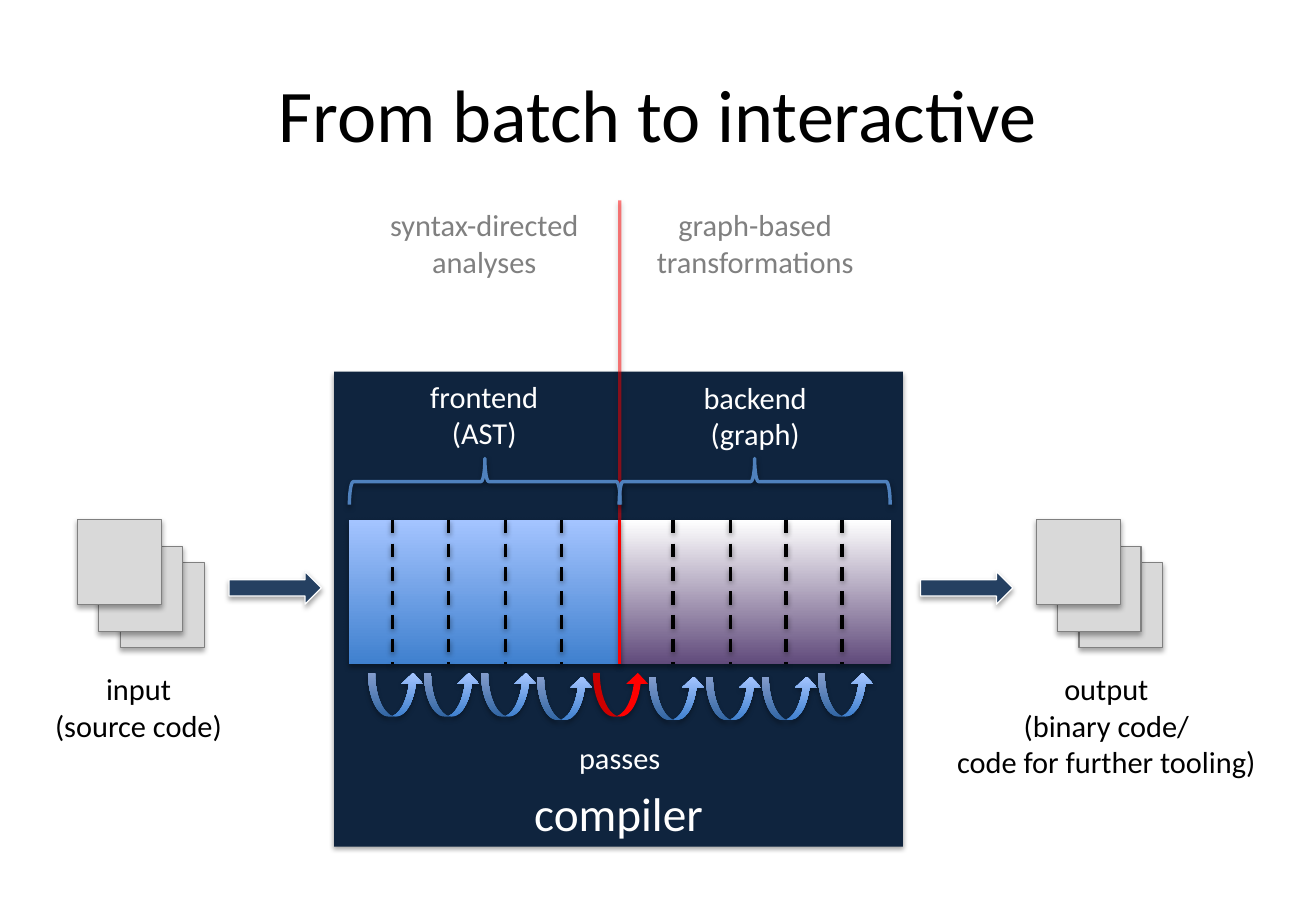
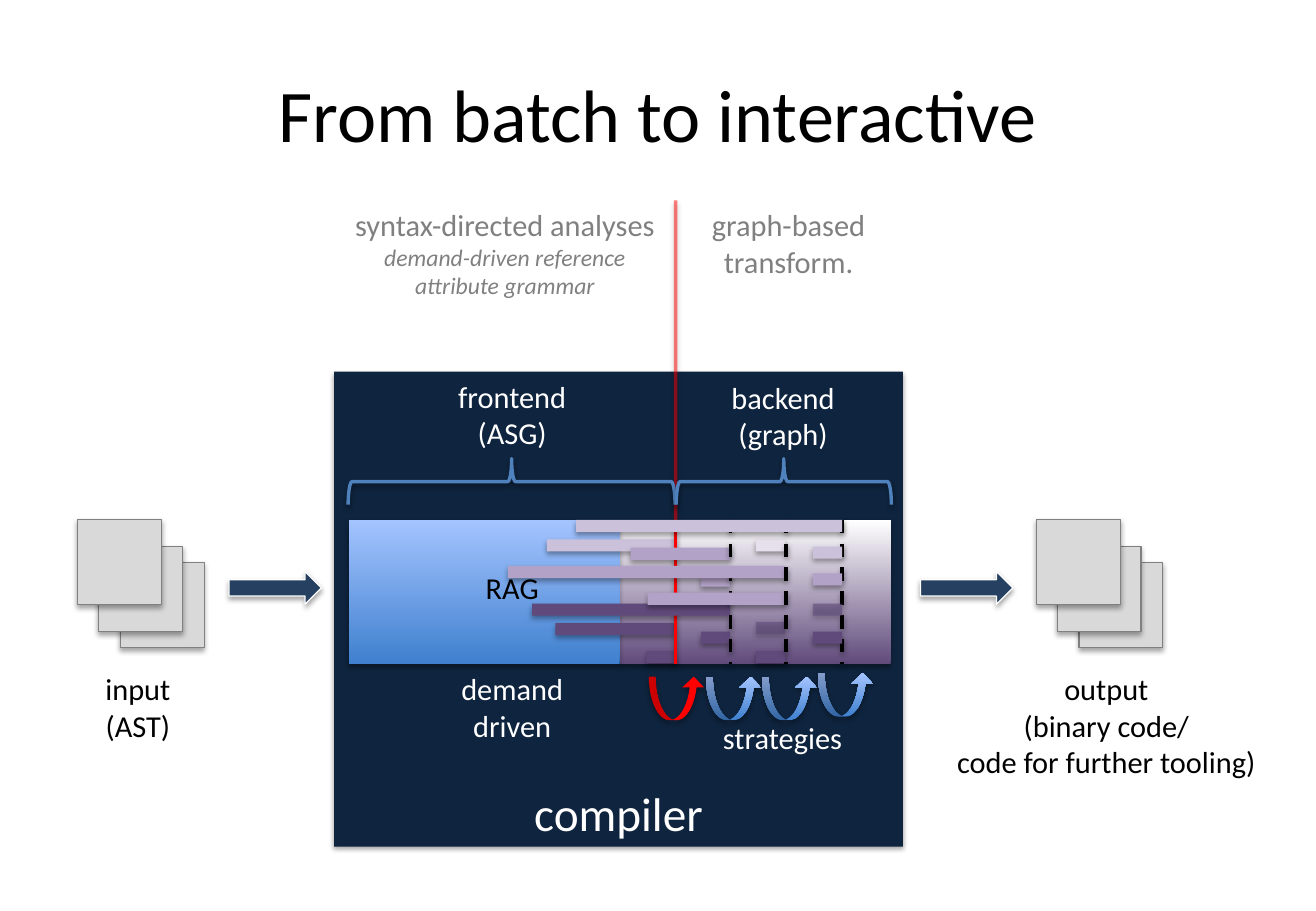
from dataclasses import dataclass

from lxml import etree
from pptx import Presentation
from pptx.dml.color import RGBColor
from pptx.enum.dml import MSO_LINE
from pptx.enum.shapes import MSO_CONNECTOR, MSO_SHAPE
from pptx.enum.text import MSO_ANCHOR, MSO_AUTO_SIZE, PP_ALIGN
from pptx.oxml.ns import qn
from pptx.util import Emu, Pt

RECTANGLE = MSO_SHAPE.RECTANGLE
UP_ARROW = MSO_SHAPE.UP_ARROW
CURVED_ARROW = MSO_SHAPE.CURVED_UP_ARROW
LEFT_BRACE = MSO_SHAPE.LEFT_BRACE
STRAIGHT = MSO_CONNECTOR.STRAIGHT
DASH = MSO_LINE.DASH
CENTER = PP_ALIGN.CENTER
MIDDLE, BOTTOM = MSO_ANCHOR.MIDDLE, MSO_ANCHOR.BOTTOM
FIT_SHAPE = MSO_AUTO_SIZE.SHAPE_TO_FIT_TEXT
TITLE_ONLY = 5


@dataclass(frozen=True)
class Theme:
    font: str = "Calibri"
    title_size: int = 44
    compiler_size: int = 28
    text_size: int = 18
    detail_size: int = 14
    black: str = "000000"
    white: str = "FFFFFF"
    gray: str = "808080"
    page: str = "D9D9D9"
    navy: str = "0F243E"
    arrow: str = "254061"
    brace: str = "4F81BD"
    red: str = "FF0000"
    blue_gradient: tuple = ("3F80CE", "A4C4FF")
    purple_gradient: tuple = ("604A7B", "FFFFFF")
    purple: str = "604A7B"
    lavender: str = "B3A2C7"
    lilac: str = "CCC1DA"
    mist: str = "E6E0EC"


THEME = Theme()

# Geometry in px, 100 to the inch
PX = 9144
SLIDE_WIDTH, SLIDE_HEIGHT = 1083, 750
BAND_LEFT, BAND_MIDDLE, BAND_RIGHT = 287, 510, 733
BAND_TOP, BAND_HEIGHT = 428, 119
HEADING_TOP = 165
PASS_PITCH, FIRST_PASS_END, FIRST_PASS_ARROW = 46.3, 323, 303
LOWERED_PASSES = (3, 5, 6, 7)
BAR_HEIGHT = 10


def px(length):
    return Emu(round(length) * PX)


def box(left, top, width, height):
    return [px(length) for length in (left, top, width, height)]


def rgb(value):
    return RGBColor.from_string(value)


def pass_end(index):
    return round(FIRST_PASS_END + PASS_PITCH * index)


# Effects
def add_shadow(shape, opacity=35, distance=1.8):
    effects = etree.SubElement(shape._element.spPr, qn("a:effectLst"))
    shadow = etree.SubElement(effects, qn("a:outerShdw"), blurRad=str(Pt(3.1)),
                              dist=str(Pt(distance)), dir="5400000", rotWithShape="0")
    color = etree.SubElement(shadow, qn("a:srgbClr"), val=THEME.black)
    etree.SubElement(color, qn("a:alpha"), val=str(opacity * 1000))


def add_line_shadow(shape):
    add_shadow(shape, 38, 1.6)


def set_opacity(shape, percent):
    color = shape._element.spPr.find(".//" + qn("a:srgbClr"))
    etree.SubElement(color, qn("a:alpha"), val=str(percent * 1000))


# Text
def format_paragraph(paragraph, size, color):
    paragraph.alignment = CENTER
    paragraph.font.name = THEME.font
    paragraph.font.size = Pt(size)
    paragraph.font.color.rgb = rgb(color)


def add_text(shapes, bounds, lines, color, wrap=True):
    text_box = shapes.add_textbox(*box(*bounds))
    frame = text_box.text_frame
    frame.word_wrap = wrap
    frame.auto_size = FIT_SHAPE
    frame.text = "\n".join(lines)
    for paragraph in frame.paragraphs:
        format_paragraph(paragraph, THEME.text_size, color)
    return text_box


def set_title(slide, text):
    title = slide.shapes.title
    title.left, title.top, title.width, title.height = box(54, 30, 975, 125)
    title.text_frame.text = text
    title.text_frame.vertical_anchor = MIDDLE
    format_paragraph(title.text_frame.paragraphs[0], THEME.title_size, THEME.black)


# Shapes and lines
def add_filled(shapes, kind, bounds, fill, outline=None, opacity=None):
    shape = shapes.add_shape(kind, *box(*bounds))
    if isinstance(fill, tuple):
        shape.fill.gradient()
        shape.fill.gradient_angle = 90
        for stop, color in zip(shape.fill.gradient_stops, fill):
            stop.color.rgb = rgb(color)
    else:
        shape.fill.solid()
        shape.fill.fore_color.rgb = rgb(fill)
    if opacity:
        set_opacity(shape, opacity)
    if outline:
        shape.line.color.rgb = rgb(outline)
        shape.line.width = Pt(0.75)
    else:
        shape.line.fill.background()
    add_shadow(shape)
    return shape


def add_vertical(shapes, x, top, bottom, color, dash=None, opacity=None):
    line = shapes.add_connector(STRAIGHT, px(x), px(top), px(x), px(bottom))
    line.line.color.rgb = rgb(color)
    line.line.width = Pt(2)
    if dash:
        line.line.dash_style = dash
    if opacity:
        set_opacity(line, opacity)
    add_line_shadow(line)


def add_band_line(shapes, x, color=THEME.black, dash=DASH):
    add_vertical(shapes, x, BAND_TOP, BAND_TOP + BAND_HEIGHT, color, dash)


def add_brace(shapes, left, right):
    length, depth, middle_y = right - left, 38, 396.5
    brace = shapes.add_shape(LEFT_BRACE, *box((left + right - depth) / 2,
                                              middle_y - length / 2, depth, length))
    brace.rotation = 90
    brace.fill.background()
    brace.line.color.rgb = rgb(THEME.brace)
    brace.line.width = Pt(2)
    add_line_shadow(brace)


def add_pages(shapes, left):
    for shift, top in ((35, 463), (17, 450), (0, 428)):
        add_filled(shapes, RECTANGLE, (left + shift, top, 69, 70), THEME.page, THEME.gray)


def add_flow_arrow(shapes, left):
    arrow = add_filled(shapes, UP_ARROW, (left, 446, 27, 76), THEME.arrow, THEME.white)
    arrow.rotation = 90


def add_pass_arrows(slide, first, red_index):
    group = slide.shapes.add_group_shape().shapes
    for index in range(first, 9):
        top = 557 if index in LOWERED_PASSES else 554
        if index == red_index:
            fill = THEME.red
        else:
            fill = THEME.blue_gradient
        left = FIRST_PASS_ARROW + PASS_PITCH * index
        arrow = add_filled(group, CURVED_ARROW, (left, top, 46, 36), fill)
        arrow.adjustments[0] = 0.157


def add_headings(slide, boundary, left_edge, right_edge, analyses, transformations):
    group = slide.shapes.add_group_shape().shapes
    heights = (71 if len(analyses) == 1 else 88, 71)
    spans = ((left_edge, boundary), (boundary, right_edge))
    for (left, right), height, lines in zip(spans, heights, (analyses, transformations)):
        heading = add_text(group, (left, HEADING_TOP, right - left, height), lines, THEME.gray)
        for detail in heading.text_frame.paragraphs[1:]:
            detail.font.size = Pt(THEME.detail_size)
            detail.font.italic = True
    add_vertical(group, boundary, HEADING_TOP, BAND_TOP, THEME.red, opacity=50)


def add_stage_bars(slide, right, bars):
    group = slide.shapes.add_group_shape().shapes
    for width, top, color, opacity in bars:
        add_filled(group, RECTANGLE, (right - width, top, width, BAR_HEIGHT), color,
                   opacity=opacity)


# Parts that both slides share
def add_compiler_slide(presentation, boundary, heading_edges, analyses, transformations,
                       frontend_kind, input_bounds, input_kind):
    slide = presentation.slides.add_slide(presentation.slide_layouts[TITLE_ONLY])
    shapes = slide.shapes
    set_title(slide, "From batch to interactive")

    compiler = add_filled(shapes, RECTANGLE, (275, 306, 468, 391), THEME.navy)
    compiler.text_frame.text = "compiler"
    compiler.text_frame.vertical_anchor = BOTTOM
    format_paragraph(compiler.text_frame.paragraphs[0], THEME.compiler_size, THEME.white)

    half = BAND_MIDDLE - BAND_LEFT
    add_filled(shapes, RECTANGLE, (BAND_MIDDLE, BAND_TOP, half, BAND_HEIGHT),
               THEME.purple_gradient)
    add_headings(slide, boundary, *heading_edges, analyses, transformations)
    add_filled(shapes, RECTANGLE, (BAND_LEFT, BAND_TOP, half, BAND_HEIGHT),
               THEME.blue_gradient)

    ends = ((BAND_LEFT, boundary, 306, ("frontend", frontend_kind)),
            (boundary, BAND_RIGHT, 307, ("backend", "(graph)")))
    for left, right, top, lines in ends:
        add_brace(shapes, left, right)
        add_text(shapes, (left, top, right - left, 71), lines, THEME.white)

    for pages_left, arrow_left in ((64, 213), (853, 782)):
        add_pages(shapes, pages_left)
        add_flow_arrow(shapes, arrow_left)
    add_text(shapes, input_bounds, ("input", input_kind), THEME.black, wrap=False)
    add_text(shapes, (776, 547, 269, 101),
             ("output", "(binary code/", "code for further tooling)"), THEME.black, wrap=False)
    return slide


def build_batch_slide(presentation):
    slide = add_compiler_slide(
        presentation, BAND_MIDDLE, (BAND_LEFT, BAND_RIGHT),
        ("syntax-directed analyses",), ("graph-based transformations",),
        "(AST)", (34, 547, 160, 71), "(source code)")
    red_index = 4
    for index in range(9):
        if index != red_index:
            add_band_line(slide.shapes, pass_end(index))
    add_band_line(slide.shapes, BAND_MIDDLE, THEME.red, None)
    add_pass_arrows(slide, 0, red_index)
    add_text(slide.shapes, (BAND_LEFT, 604, 446, 40), ("passes",), THEME.white)


def build_interactive_slide(presentation):
    boundary = 556
    frontend_width = boundary - BAND_LEFT
    slide = add_compiler_slide(
        presentation, boundary, (275, 742),
        ("syntax-directed analyses", "demand-driven reference attribute grammar"),
        ("graph-based transform.",), "(ASG)", (76, 547, 75, 71), "(AST)")
    shapes = slide.shapes
    add_pass_arrows(slide, 5, 5)
    add_text(shapes, (boundary, 587, 176, 40), ("strategies",), THEME.white)
    add_text(shapes, (BAND_LEFT, 547, frontend_width, 71), ("demand", "driven"), THEME.white)

    # Bars end at their stage line: width, top, colour, opacity
    add_stage_bars(slide, boundary, (
        (106, 444, THEME.lilac, None), (99, 513, THEME.purple, None),
        (24, 536, THEME.purple, None)))
    add_band_line(shapes, boundary, THEME.red, None)
    add_band_line(shapes, pass_end(8))
    add_stage_bars(slide, pass_end(6), (
        (24, 473, THEME.lavender, None), (24, 520, THEME.purple, None),
        (82, 451, THEME.lavender, None), (163, 497, THEME.purple, None)))
    add_band_line(shapes, pass_end(6))
    add_stage_bars(slide, pass_end(7) - 1, (
        (24, 444, THEME.mist, None), (24, 512, THEME.purple, 60),
        (24, 536, THEME.purple, None), (228, 466, THEME.lavender, None),
        (113, 488, THEME.lavender, None)))
    add_band_line(shapes, pass_end(7))
    add_stage_bars(slide, pass_end(8), (
        (24, 450, THEME.lilac, None), (24, 472, THEME.lavender, None),
        (24, 497, THEME.purple, 60), (24, 520, THEME.purple, None),
        (219, 428, THEME.lilac, None)))
    add_text(shapes, (BAND_LEFT, 464, frontend_width, 40), ("RAG",), THEME.black)


def main():
    presentation = Presentation()
    presentation.slide_width = px(SLIDE_WIDTH)
    presentation.slide_height = px(SLIDE_HEIGHT)
    build_batch_slide(presentation)
    build_interactive_slide(presentation)
    presentation.save("out.pptx")


if __name__ == "__main__":
    main()
